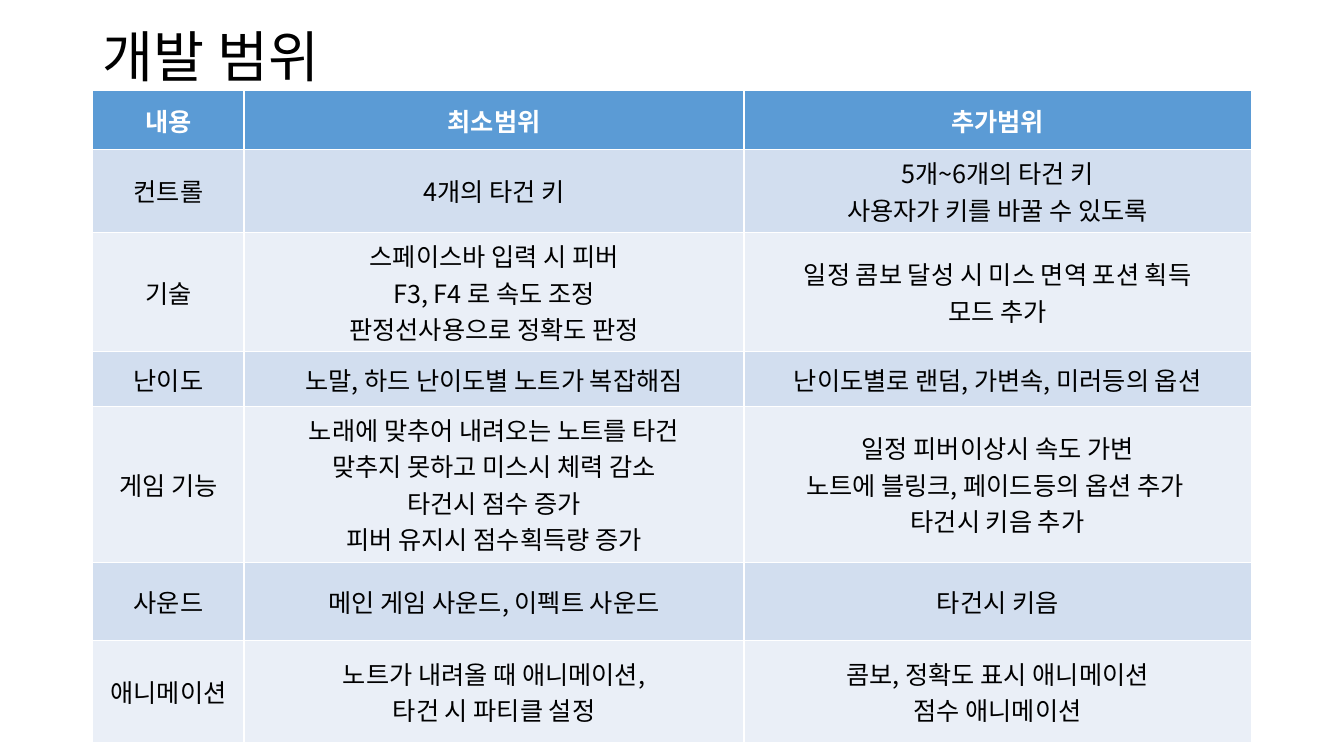
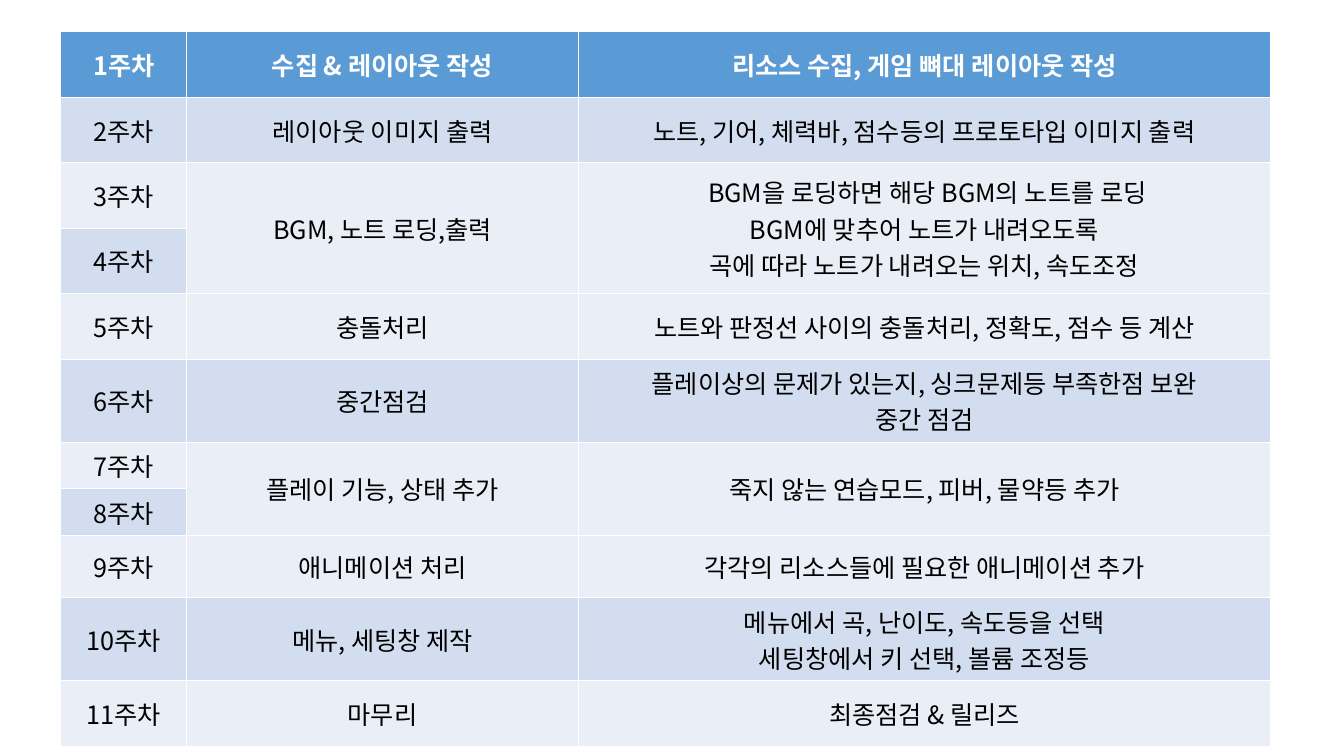
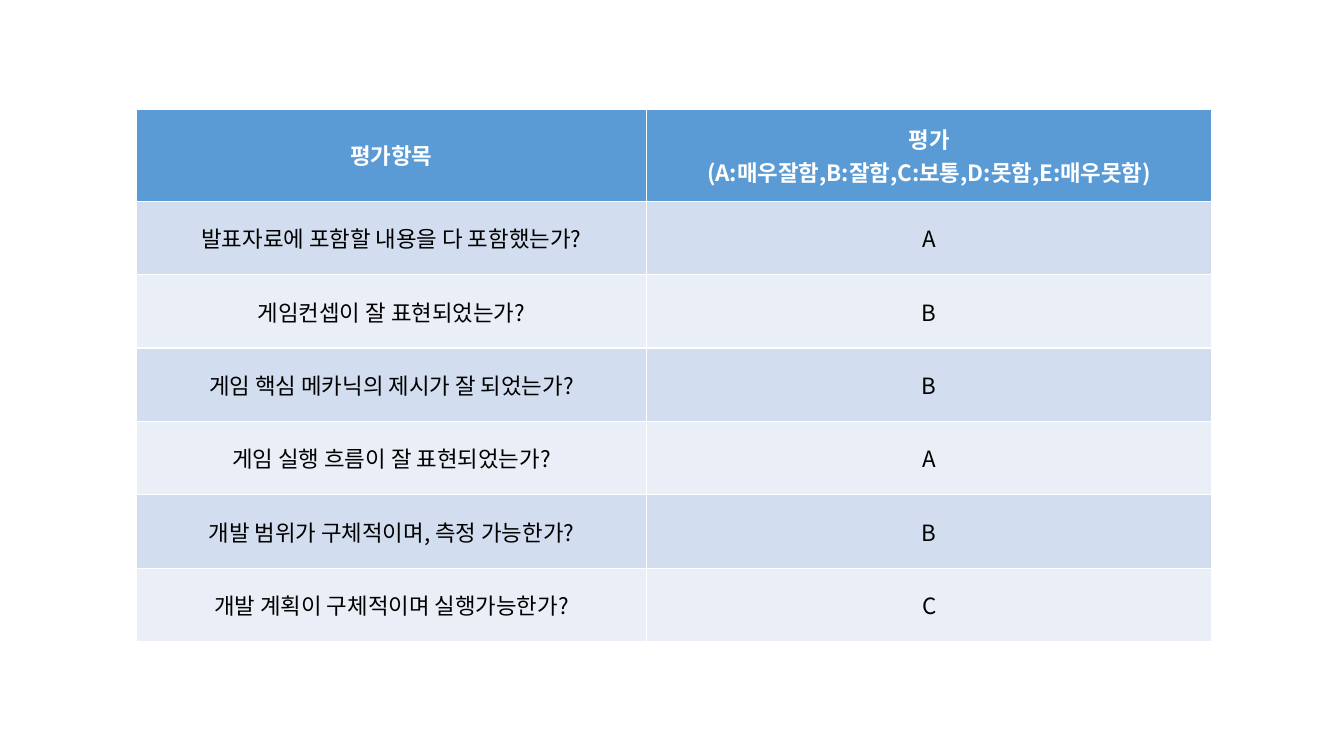
from lxml import etree
from pptx import Presentation
from pptx.dml.color import RGBColor
from pptx.enum.text import MSO_ANCHOR, MSO_AUTO_SIZE, PP_ALIGN
from pptx.oxml.ns import qn
from pptx.util import Cm, Pt

CENTER, LEFT = PP_ALIGN.CENTER, PP_ALIGN.LEFT
MIDDLE = MSO_ANCHOR.MIDDLE
NO_AUTOFIT = MSO_AUTO_SIZE.NONE
TITLE_ONLY, BLANK = 5, 6

FONT = "Noto Sans CJK KR"
COLORS = {
    "header": "5B9BD5",
    "band_dark": "D2DEEF",
    "band_light": "EAEFF7",
    "header_text": "FFFFFF",
    "text": "000000",
}

SCOPE = [
    ("내용", "최소범위", "추가범위"),
    ("컨트롤", "4개의 타건 키", "5개~6개의 타건 키\n사용자가 키를 바꿀 수 있도록"),
    ("기술",
     "스페이스바 입력 시 피버\nF3, F4 로 속도 조정\n판정선사용으로 정확도 판정",
     "일정 콤보 달성 시 미스 면역 포션 획득\n모드 추가"),
    ("난이도", "노말, 하드 난이도별 노트가 복잡해짐",
     "난이도별로 랜덤, 가변속, 미러등의 옵션"),
    ("게임 기능",
     "노래에 맞추어 내려오는 노트를 타건\n맞추지 못하고 미스시 체력 감소\n"
     "타건시 점수 증가\n피버 유지시 점수획득량 증가",
     "일정 피버이상시 속도 가변\n노트에 블링크, 페이드등의 옵션 추가 \n타건시 키음 추가"),
    ("사운드", "메인 게임 사운드, 이펙트 사운드", "타건시 키음"),
    ("애니메이션", "노트가 내려올 때 애니메이션,\n타건 시 파티클 설정",
     "콤보, 정확도 표시 애니메이션\n점수 애니메이션"),
]

SCHEDULE = [
    ("1주차", "수집 & 레이아웃 작성", "리소스 수집, 게임 뼈대 레이아웃 작성"),
    ("2주차", "레이아웃 이미지 출력",
     "노트, 기어, 체력바, 점수등의 프로토타입 이미지 출력"),
    ("3주차", "BGM, 노트 로딩,출력",
     " BGM을 로딩하면 해당 BGM의 노트를 로딩\nBGM에 맞추어 노트가 내려오도록\n"
     "곡에 따라 노트가 내려오는 위치, 속도조정"),
    ("4주차", None, None),
    ("5주차", "충돌처리", "노트와 판정선 사이의 충돌처리, 정확도, 점수 등 계산"),
    ("6주차", "중간점검",
     "플레이상의 문제가 있는지, 싱크문제등 부족한점 보완\n중간 점검"),
    ("7주차", "플레이 기능, 상태 추가", "죽지 않는 연습모드, 피버, 물약등 추가"),
    ("8주차", None, None),
    ("9주차", "애니메이션 처리", "각각의 리소스들에 필요한 애니메이션 추가"),
    ("10주차", "메뉴, 세팅창 제작",
     "메뉴에서 곡, 난이도, 속도등을 선택\n세팅창에서 키 선택, 볼륨 조정등"),
    ("11주차", "마무리", "최종점검 & 릴리즈"),
]

EVALUATION = [
    ("평가항목", "평가\n(A:매우잘함,B:잘함,C:보통,D:못함,E:매우못함)"),
    ("발표자료에 포함할 내용을 다 포함했는가?", "A"),
    ("게임컨셉이 잘 표현되었는가?", "B"),
    ("게임 핵심 메카닉의 제시가 잘 되었는가?", "B"),
    ("게임 실행 흐름이 잘 표현되었는가?", "A"),
    ("개발 범위가 구체적이며, 측정 가능한가?", "B"),
    ("개발 계획이 구체적이며 실행가능한가?", "C"),
]


def style_paragraph(p, size, color, align, bold=False):
    """Set alignment and the shared Latin and East Asian font of a paragraph."""
    p.alignment = align
    font = p.font
    font.name, font.size, font.bold = FONT, Pt(size), bold
    font.color.rgb = RGBColor.from_string(COLORS[color])
    props = p._p.pPr.find(qn("a:defRPr"))
    etree.SubElement(props, qn("a:ea")).set("typeface", FONT)


def add_title(s, text, left, top, width, height):
    """Place the slide title in the given box."""
    sp = s.shapes.title
    sp.left, sp.top, sp.width, sp.height = map(Cm, (left, top, width, height))
    tf = sp.text_frame
    tf.text = text
    tf.auto_size = NO_AUTOFIT
    tf.vertical_anchor = MIDDLE
    p = tf.paragraphs[0]
    p.line_spacing = 0.9
    style_paragraph(p, 39.6, "text", LEFT)


def fill_cell(cell, text, size, row):
    """Write centred text and the fill of the row's band into a cell."""
    header = row == 0
    fill = "header" if header else ("band_light", "band_dark")[row % 2]
    cell.fill.solid()
    cell.fill.fore_color.rgb = RGBColor.from_string(COLORS[fill])
    cell.vertical_anchor = MIDDLE
    cell.text_frame.text = text
    for p in cell.text_frame.paragraphs:
        style_paragraph(p, size, "header_text" if header else "text", CENTER, header)


def add_grid(s, left, top, widths, heights, rows, size):
    """Add a banded table; None joins a cell to the one above it."""
    table = s.shapes.add_table(len(rows), len(widths), Cm(left), Cm(top),
                               Cm(sum(widths)), Cm(sum(heights))).table
    for column, width in zip(table.columns, widths):
        column.width = Cm(width)
    for r, (height, values) in enumerate(zip(heights, rows)):
        table.rows[r].height = Cm(height)
        for c, text in enumerate(values):
            if text is None:
                table.cell(r - 1, c).merge(table.cell(r, c))
            else:
                fill_cell(table.cell(r, c), text, size, r)


def scope_slide(prs):
    """Add the development scope slide."""
    s = prs.slides.add_slide(prs.slide_layouts[TITLE_ONLY])
    add_title(s, "개발 범위", 2.34, 1.02, 29.21, 0.97)
    add_grid(s, 2.34, 2.29, (3.81, 12.6, 12.78),
             (1.47, 1.65, 2.16, 1.37, 3.33, 1.98, 2.57), SCOPE, 18)


def schedule_slide(prs):
    """Add the weekly schedule slide."""
    s = prs.slides.add_slide(prs.slide_layouts[BLANK])
    heights = [1.65] * 6 + [1.17] * 2 + [1.57] + [1.65] * 2
    add_grid(s, 1.53, 0.8, (3.18, 9.86, 17.45), heights, SCHEDULE, 18)


def evaluation_slide(prs):
    """Add the self-evaluation slide."""
    s = prs.slides.add_slide(prs.slide_layouts[BLANK])
    add_grid(s, 3.44, 2.75, (12.85, 14.25), [2.32] + [1.85] * 6, EVALUATION, 16)


def main():
    """Build and save the presentation."""
    prs = Presentation()
    prs.slide_width, prs.slide_height = Cm(33.87), Cm(19.05)
    scope_slide(prs)
    schedule_slide(prs)
    evaluation_slide(prs)
    prs.save("out.pptx")


main()
